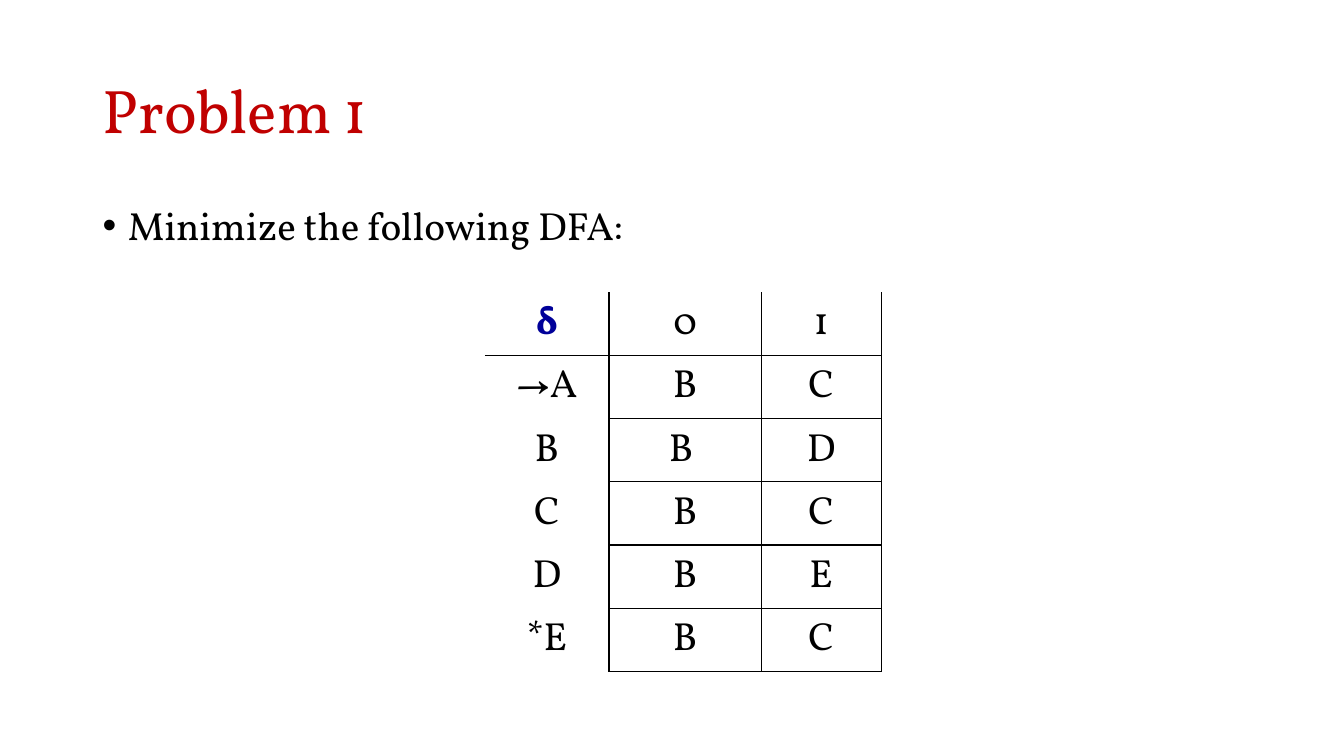
"""Build a slide that poses a DFA minimization problem with its transition table."""
import dataclasses
import typing

import lxml.etree
import pptx
import pptx.dml.color
import pptx.enum.text
import pptx.oxml.ns
import pptx.util

ALIGN = pptx.enum.text.PP_ALIGN
ANCHOR = pptx.enum.text.MSO_ANCHOR
WIDE, HIGH = 13.33, 7.5
PLAIN = "{2D5ABB26-0587-4C30-8999-92F81FD0307C}"


@dataclasses.dataclass(frozen=True)
class Theme:
    face: str = "Vollkorn"
    head: str = "C00000"
    ink: str = "000000"
    mark: str = "000099"
    big: int = 44
    base: int = 28
    rule: int = 1


@dataclasses.dataclass(frozen=True)
class Box:
    """Left, top, width and height in percent of the slide."""
    left: float
    top: float
    wide: float
    high: float

    def place(self) -> tuple:
        return across(self.left), down(self.top), across(self.wide), down(self.high)


@dataclasses.dataclass(frozen=True)
class Block:
    text: str
    box: Box
    size: int
    tint: str
    anchor: typing.Any
    form: dict
    bullet: bool = False


THEME = Theme()
BLOCKS = [
    Block("Problem 1", Box(6.9, 5.33, 86.27, 19.33), THEME.big, THEME.head,
          ANCHOR.MIDDLE, {"line_spacing": 0.9}),
    Block("Minimize the following DFA:", Box(6.9, 26.67, 86.27, 63.47),
          THEME.base, THEME.ink, ANCHOR.TOP,
          {"line_spacing": 0.9, "space_before": pptx.util.Pt(10),
           "alignment": ALIGN.JUSTIFY}, True),
]
ROWS = [
    ("δ", "0", "1"),
    ("→A", "B", "C"),
    ("B", "B ", "D"),
    ("C", "B", "C"),
    ("D", "B", "E"),
    ("*E", "B", "C"),
]
COLS = (9.23, 11.33, 8.93)
STEP = 8.36
GRID = Box(36.08, 38.67, sum(COLS), STEP * len(ROWS))


def across(share: float) -> int:
    return pptx.util.Inches(WIDE * share / 100)


def down(share: float) -> int:
    return pptx.util.Inches(HIGH * share / 100)


def apply(thing: typing.Any, form: dict) -> None:
    for name, value in form.items():
        setattr(thing, name, value)


def write(para: typing.Any, text: str, size: int, tint: str, form: dict,
          bold: bool = False) -> None:
    apply(para, form)
    run = para.add_run()
    run.text = text
    apply(run.font, {"name": THEME.face, "size": pptx.util.Pt(size), "bold": bold})
    run.font.color.rgb = pptx.dml.color.RGBColor.from_string(tint)


def add_dot(para: typing.Any) -> None:
    props = para._p.get_or_add_pPr()
    indent = pptx.util.Inches(0.25)
    props.set("marL", str(indent))
    props.set("indent", str(-indent))
    for tag, key, value in (("a:buFont", "typeface", "Arial"), ("a:buChar", "char", "•")):
        lxml.etree.SubElement(props, pptx.oxml.ns.qn(tag)).set(key, value)


def add_block(slide: typing.Any, block: Block) -> None:
    frame = slide.shapes.add_textbox(*block.box.place()).text_frame
    apply(frame, {"word_wrap": True, "vertical_anchor": block.anchor})
    para = frame.paragraphs[0]
    write(para, block.text, block.size, block.tint, block.form)
    if block.bullet:
        add_dot(para)


def edge(cell: typing.Any, sides: str) -> None:
    props = cell._tc.get_or_add_tcPr()
    for spot, side in enumerate("LRTB"):
        line = lxml.etree.Element(pptx.oxml.ns.qn(f"a:ln{side}"))
        line.set("w", str(pptx.util.Pt(THEME.rule)))
        if side in sides:
            fill = lxml.etree.SubElement(line, pptx.oxml.ns.qn("a:solidFill"))
            lxml.etree.SubElement(fill, pptx.oxml.ns.qn("a:srgbClr")).set("val", THEME.ink)
        else:
            lxml.etree.SubElement(line, pptx.oxml.ns.qn("a:noFill"))
        props.insert(spot, line)


def sides_of(row: int, col: int) -> str:
    """Leave the outer edge open beside the state names and above the header."""
    left = "L" if col > 0 else ""
    top = "T" if row == 1 or (row > 1 and col > 0) else ""
    base = "B" if row == 0 or col > 0 else ""
    return left + "R" + top + base


def add_grid(slide: typing.Any) -> None:
    table = slide.shapes.add_table(len(ROWS), len(COLS), *GRID.place()).table
    apply(table, {"first_row": False, "horz_banding": False})
    table._tbl.tblPr.find(pptx.oxml.ns.qn("a:tableStyleId")).text = PLAIN
    for col, share in zip(table.columns, COLS):
        col.width = across(share)
    for i, row in enumerate(ROWS):
        table.rows[i].height = down(STEP)
        for j, text in enumerate(row):
            cell = table.cell(i, j)
            first = i == j == 0
            cell.fill.background()
            write(cell.text_frame.paragraphs[0], text, THEME.base,
                  THEME.mark if first else THEME.ink,
                  {"alignment": ALIGN.CENTER}, first)
            edge(cell, sides_of(i, j))


def main() -> None:
    deck = pptx.Presentation()
    apply(deck, {"slide_width": across(100), "slide_height": down(100)})
    slide = deck.slides.add_slide(deck.slide_layouts[6])
    for block in BLOCKS:
        add_block(slide, block)
    add_grid(slide)
    deck.save("out.pptx")


if __name__ == "__main__":
    main()
